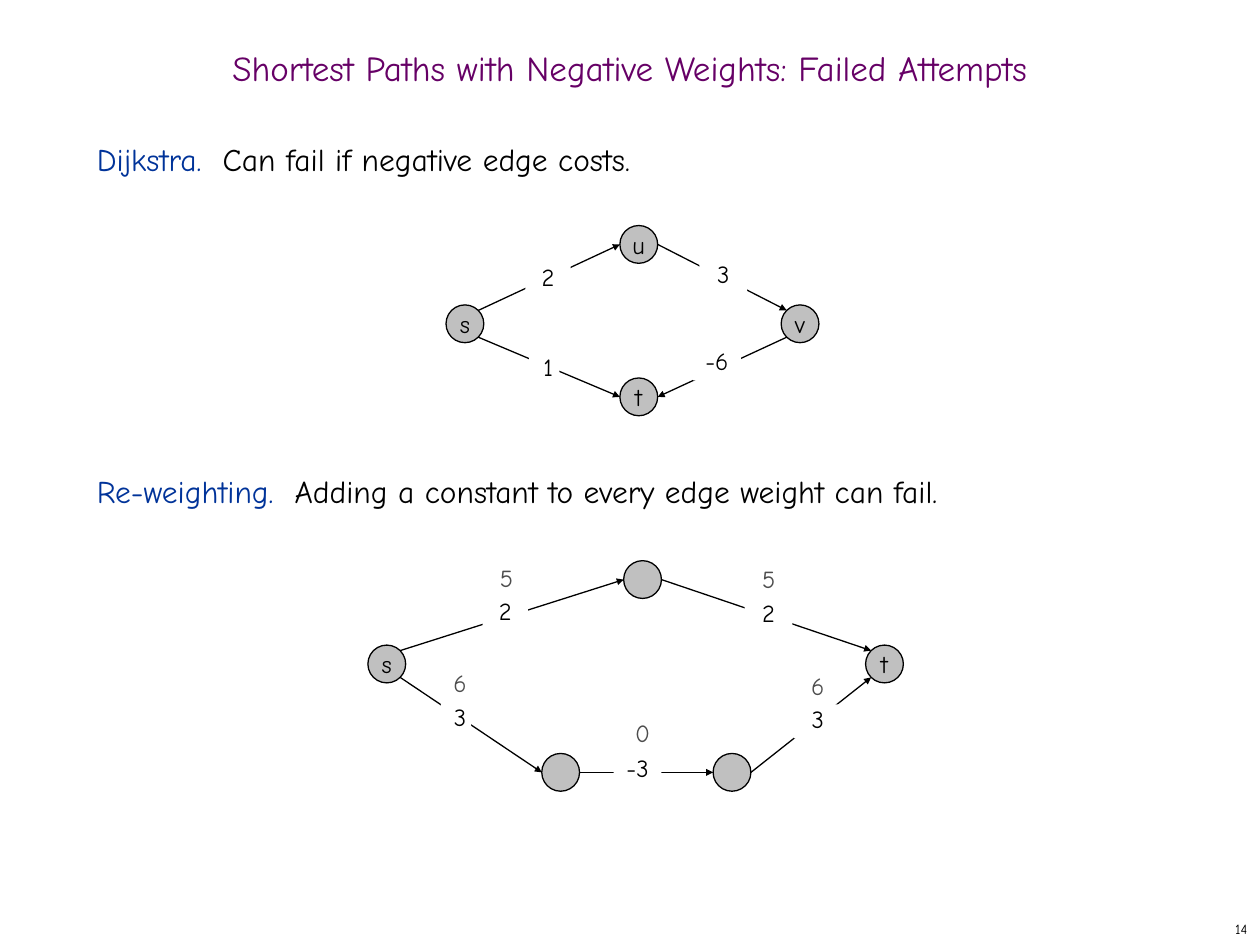
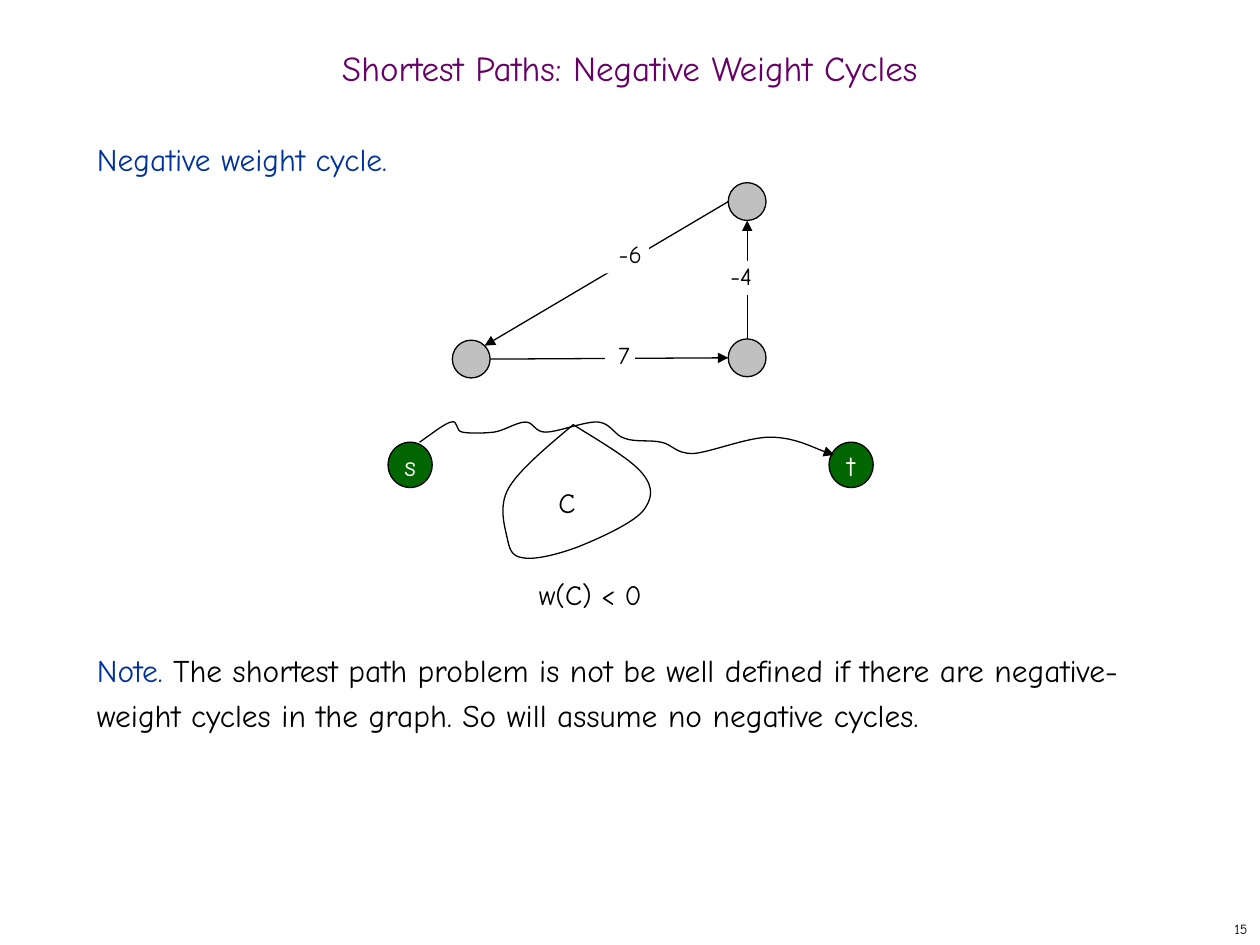
from pptx import Presentation
from pptx.dml.color import RGBColor
from pptx.enum.shapes import MSO_CONNECTOR as LINK, MSO_SHAPE as SHAPE
from pptx.enum.text import MSO_ANCHOR as ANCHOR, PP_ALIGN as ALIGN
from pptx.oxml.ns import qn
from pptx.util import Pt
from lxml.etree import SubElement

FONT = "Comic Neue"
BLACK, WHITE, GREY, DARK_GREY = "000000", "FFFFFF", "C0C0C0", "4D4D4D"
PURPLE, BLUE, GREEN = "660066", "003399", "006600"
COLUMNS = 10
RADIUS = 0.15
DIAGONAL = 0.71
SIDES = {"N": (0, -1), "S": (0, 1), "E": (1, 0), "W": (-1, 0),
         "NE": (DIAGONAL, -DIAGONAL), "NW": (-DIAGONAL, -DIAGONAL),
         "SE": (DIAGONAL, DIAGONAL), "SW": (-DIAGONAL, DIAGONAL)}

deck = Presentation()
unit = 914400
deck.slide_width, deck.slide_height = COLUMNS * unit, int(7.5 * unit)
blank = deck.slide_layouts[6]
rgb = RGBColor.from_string


def place(slide, box, text, size, colour=BLACK, kind=None, fill=None, outline=None,
          align=ALIGN.CENTER, anchor=ANCHOR.MIDDLE, wrap=False, inset=(0.1, 0.05)):
    """Place text in a box of grid units, on a preset shape if a kind is given."""
    bounds = [round(length * unit) for length in box]
    if kind is None:
        item = slide.shapes.add_textbox(*bounds)
    else:
        item = slide.shapes.add_shape(kind, *bounds)
        item.shadow.inherit = False
        item.fill.solid()
        item.fill.fore_color.rgb = rgb(fill)
        if outline:
            item.line.color.rgb = rgb(outline)
            item.line.width = Pt(0.75)
        else:
            item.line.fill.background()
    frame = item.text_frame
    frame.word_wrap, frame.vertical_anchor = wrap, anchor
    frame.margin_left = frame.margin_right = round(inset[0] * unit)
    frame.margin_top = frame.margin_bottom = round(inset[1] * unit)
    paragraph = frame.paragraphs[0]
    paragraph.text, paragraph.alignment = text, align
    paragraph.font.name, paragraph.font.size = FONT, Pt(size)
    paragraph.font.color.rgb = rgb(colour)
    return frame


def draw_arrow(stroke, head_size):
    """Make a connector or curve a thin black arrow without a shadow."""
    stroke.line.color.rgb = rgb(BLACK)
    stroke.line.width = Pt(0.75)
    properties = stroke.element.spPr
    SubElement(properties.find(qn("a:ln")), qn("a:tailEnd"),
               type="triangle", w=head_size, len=head_size)
    SubElement(properties, qn("a:effectLst"))


# Statements: space before, coloured lead, rest of the sentence
# Nodes: name -> centre and label; edges: node, side, node, side
# Weights: left, top, width, text; shifted weights: centre, text
pages = [
    {
        "title": "Shortest Paths with Negative Weights: Failed Attempts",
        "statements": [
            (12, "Dijkstra.  ", "Can fail if negative edge costs."),
            (164, "Re-weighting.  ", "Adding a constant to every edge weight can fail."),
        ],
        "head": "sm",
        "nodes": {
            "u": (5.07, 1.94, "u"), "t": (5.07, 3.15, "t"),
            "s": (3.69, 2.57, "s"), "v": (6.35, 2.57, "v"),
            "top": (5.1, 4.6, ""), "low left": (4.45, 6.13, ""),
            "low right": (5.81, 6.13, ""),
            "start": (3.07, 5.27, "s"), "end": (7.02, 5.27, "t"),
        },
        "edges": [
            ("v", "SW", "t", "E"), ("s", "SE", "t", "W"),
            ("u", "E", "v", "NW"), ("s", "NE", "u", "W"),
            ("low right", "E", "end", "SW"), ("start", "SE", "low left", "W"),
            ("top", "E", "end", "NW"), ("start", "NE", "top", "W"),
            ("low left", "E", "low right", "W"),
        ],
        "weights": [
            (4.17, 2.08, 0.36, "2"), (4.2, 2.79, 0.24, " 1"),
            (5.55, 2.06, 0.38, "3"), (5.5, 2.75, 0.38, "-6"),
            (3.83, 4.73, 0.36, "2"), (3.5, 5.57, 0.24, " 3"),
            (5.91, 4.75, 0.38, "2"), (4.87, 5.98, 0.38, "-3"),
            (6.3, 5.59, 0.38, "3"),
        ],
        "shifted": [(4.02, 4.6, "5"), (6.1, 4.61, "5"), (6.49, 5.46, "6"),
                    (3.65, 5.43, "6"), (5.1, 5.83, "0")],
    },
    {
        "title": "Shortest Paths: Negative Weight Cycles",
        "statements": [
            (12, "Negative weight cycle.", ""),
            (266, "Note. ", "The shortest path problem is not be well defined if there are "
             "negative-weight cycles in the graph. So will assume no negative cycles."),
        ],
        "head": "med",
        "nodes": {"upper": (5.93, 1.6, ""), "lower": (5.93, 2.84, ""),
                  "left": (3.74, 2.85, "")},
        "edges": [("lower", "N", "upper", "S"), ("left", "E", "lower", "W"),
                  ("upper", "W", "left", "NE")],
        "weights": [(4.79, 1.9, 0.36, " -6"), (4.8, 2.7, 0.24, " 7"),
                    (5.66, 2.07, 0.38, " -4")],
        "shifted": [],
    },
]

for number, page in enumerate(pages, start=14):
    slide = deck.slides.add_slide(blank)
    place(slide, (7.92, 7.25, 2.08, 0.25), str(number), 8, align=ALIGN.RIGHT)
    title = place(slide, (0, 0.33, COLUMNS, 0.5), page["title"], 20, PURPLE, wrap=True)
    title.paragraphs[0].line_spacing = 0.7

    body = place(slide, (0.67, 1, 8.58, 5.92), "", 18, align=ALIGN.LEFT,
                 anchor=ANCHOR.TOP, wrap=True)
    for index, (gap, lead, rest) in enumerate(page["statements"]):
        statement = body.add_paragraph() if index else body.paragraphs[0]
        statement.space_before, statement.line_spacing = Pt(gap), Pt(26)
        statement.font.name, statement.font.size = FONT, Pt(18)
        for words, colour in ((lead, BLUE), (rest, BLACK)):
            if words:
                run = statement.add_run()
                run.text = words
                run.font.color.rgb = rgb(colour)

    for x, y, label in page["nodes"].values():
        place(slide, (x - RADIUS, y - RADIUS, 2 * RADIUS, 2 * RADIUS), label, 14,
              kind=SHAPE.OVAL, fill=GREY, outline=BLACK)
    for source, exit_side, target, entry_side in page["edges"]:
        ends = []
        for node, side in ((source, exit_side), (target, entry_side)):
            for centre, direction in zip(page["nodes"][node], SIDES[side]):
                ends.append(round((centre + RADIUS * direction) * unit))
        draw_arrow(slide.shapes.add_connector(LINK.STRAIGHT, *ends), page["head"])
    for left, top, width, weight in page["weights"]:
        place(slide, (left, top, width, 0.27), weight, 14, kind=SHAPE.RECTANGLE,
              fill=WHITE, anchor=ANCHOR.TOP, wrap=True, inset=(0, 0))
    for x, y, weight in page["shifted"]:
        place(slide, (x - 0.16, y - 0.18, 0.32, 0.37), weight, 14, DARK_GREY,
              anchor=ANCHOR.TOP)

# Walk from s to t that passes through the negative cycle C
for left, label in ((3.08, "s"), (6.58, "t")):
    place(slide, (left, 3.51, 0.35, 0.36), label, 16, WHITE,
          kind=SHAPE.OVAL, fill=GREEN, outline=BLACK)

walk = [
    (3.33, 3.51), (3.43, 3.44), (3.53, 3.36), (3.58, 3.35),
    (3.64, 3.33), (3.61, 3.42), (3.67, 3.43), (3.72, 3.44), (3.83, 3.44), (3.92, 3.43),
    (4, 3.42), (4.1, 3.35), (4.17, 3.35), (4.24, 3.35), (4.24, 3.43), (4.33, 3.43),
    (4.43, 3.43), (4.65, 3.34), (4.75, 3.35), (4.85, 3.36), (4.88, 3.46), (4.96, 3.48),
    (5.04, 3.51), (5.16, 3.49), (5.25, 3.51), (5.34, 3.53), (5.36, 3.6), (5.5, 3.6),
    (5.64, 3.59), (5.93, 3.47), (6.11, 3.47), (6.3, 3.47), (6.51, 3.58), (6.62, 3.61),
]
cycle = [
    (4.55, 3.37), (4.46, 3.45), (4.13, 3.71), (4.04, 3.87),
    (3.95, 4.02), (4.01, 4.19), (4.03, 4.29), (4.05, 4.38), (4.07, 4.42), (4.17, 4.43),
    (4.26, 4.44), (4.43, 4.4), (4.59, 4.34), (4.74, 4.28), (5.01, 4.16), (5.1, 4.06),
    (5.18, 3.96), (5.19, 3.87), (5.1, 3.76), (5.01, 3.64), (4.67, 3.45), (4.55, 3.37),
]
for points in (walk, cycle):
    corners = [(round(x * unit), round(y * unit)) for x, y in points]
    builder = slide.shapes.build_freeform(*corners[0])
    builder.add_line_segments(corners[1:], close=False)
    curve = builder.convert_to_shape()
    curve.fill.background()
    # Every three segments become the control points of one Bézier curve
    outline = next(curve.element.iter(qn("a:path")))
    segments = outline.findall(qn("a:lnTo"))
    for first in range(0, len(segments), 3):
        bezier = SubElement(outline, qn("a:cubicBezTo"))
        for segment in segments[first:first + 3]:
            bezier.append(segment[0])
            outline.remove(segment)
    draw_arrow(curve, "med")

place(slide, (4.33, 3.8, 0.34, 0.37), "C", 16)
place(slide, (3.99, 4.53, 1.39, 0.37), "w(C) < 0", 16, wrap=True)

deck.save("out.pptx")
